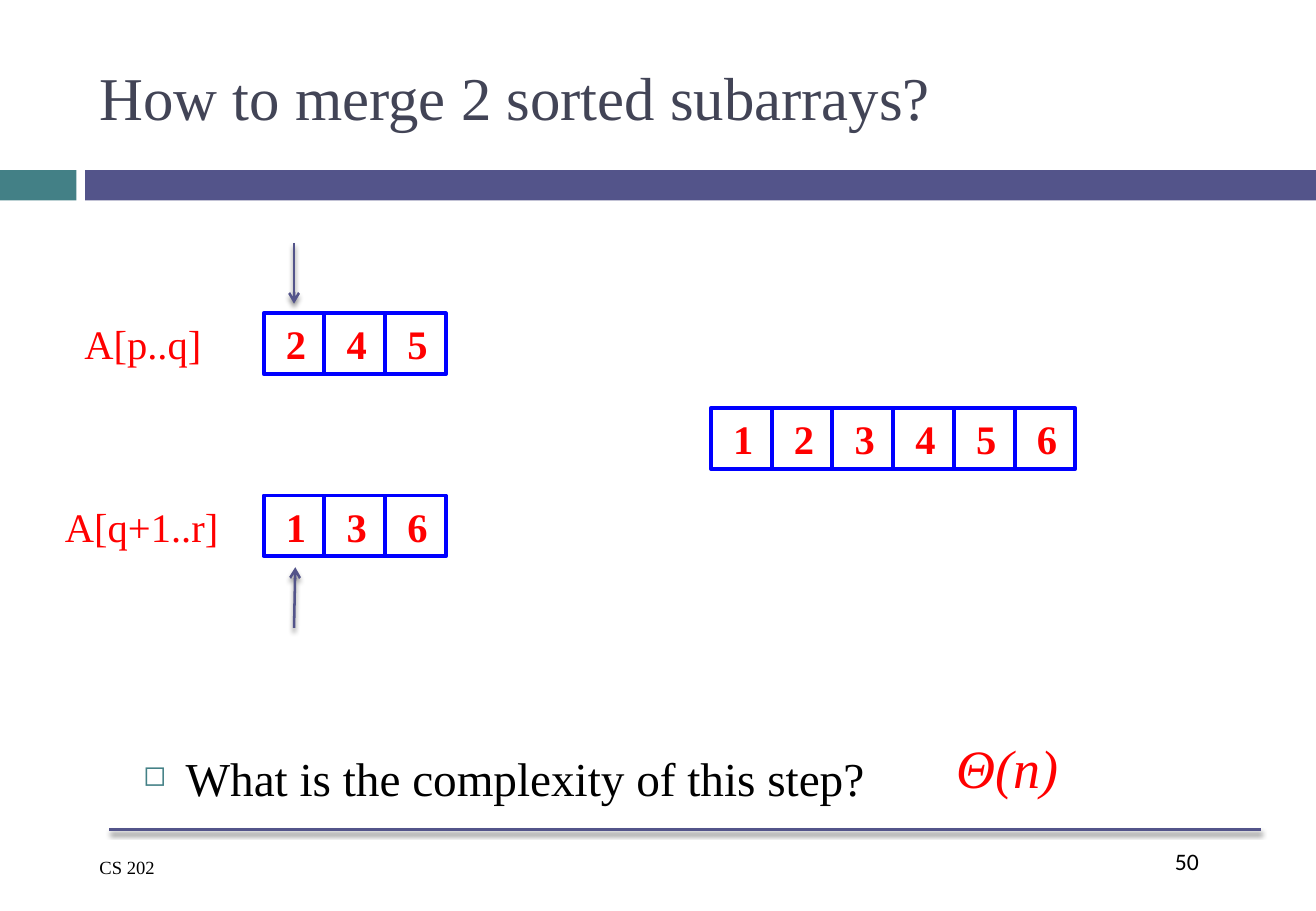
from lxml import etree
from pptx import Presentation
from pptx.dml.color import RGBColor
from pptx.enum.shapes import MSO_CONNECTOR as CONNECTOR, MSO_SHAPE as SHAPE
from pptx.enum.text import MSO_ANCHOR as ANCHOR, PP_ALIGN as ALIGN
from pptx.oxml import parse_xml
from pptx.oxml.ns import nsdecls, qn
from pptx.util import Inches, Pt

SERIF = "Times New Roman"
INDIGO, TEAL, SLATE = "53548A", "438086", "424456"
RED, BLUE, BLACK = "FF0000", "0000FF", "000000"
CELL = 0.5


def color(hex_string):
    """Turn a hex string into a colour."""
    return RGBColor.from_string(hex_string)


def write(shape, text, size, hex_string, align=ALIGN.LEFT, anchor=ANCHOR.TOP,
          font=SERIF, bold=False, italic=False):
    """Put one formatted paragraph into a shape and return it."""
    frame = shape.text_frame
    frame.text = text
    frame.vertical_anchor = anchor
    paragraph = frame.paragraphs[0]
    paragraph.alignment = align
    run_font = paragraph.runs[0].font
    run_font.name, run_font.size = font, Pt(size)
    run_font.bold, run_font.italic = bold, italic
    run_font.color.rgb = color(hex_string)
    return paragraph


def add_label(slide, box, text, size, hex_string, wrap=False, **style):
    """Add a text box and return its paragraph."""
    shape = slide.shapes.add_textbox(*map(Inches, box))
    shape.text_frame.word_wrap = wrap
    return write(shape, text, size, hex_string, **style)


def add_rectangle(slide, box, fill=None, line=None):
    """Add a plain rectangle, filled or outlined."""
    shape = slide.shapes.add_shape(SHAPE.RECTANGLE, *map(Inches, box))
    shape.shadow.inherit = False
    if fill:
        shape.fill.solid()
        shape.fill.fore_color.rgb = color(fill)
    else:
        shape.fill.background()
    if line:
        shape.line.color.rgb = color(line)
        shape.line.width = Pt(2.29)
    else:
        shape.line.fill.background()
    return shape


def add_line(slide, start, end, arrow=False):
    """Draw an indigo line with a soft shadow below it."""
    line = slide.shapes.add_connector(CONNECTOR.STRAIGHT, *map(Inches, start + end))
    line.line.color.rgb = color(INDIGO)
    line.line.width = Pt(1.5)
    properties = line.line._get_or_add_ln()
    if arrow:
        etree.SubElement(properties, qn("a:tailEnd"), type="arrow")
    properties.addnext(parse_xml(
        f'<a:effectLst {nsdecls("a")}>'
        f'<a:outerShdw blurRad="{Pt(3)}" dist="{Pt(2.4)}" dir="5400000" rotWithShape="0">'
        f'<a:srgbClr val="{BLACK}"><a:alpha val="45000"/></a:srgbClr>'
        '</a:outerShdw></a:effectLst>'))


def add_header(slide, width):
    """Place the title and the two bars under it."""
    title = slide.shapes.title
    title.left, title.top, title.width, title.height = map(Inches, (0.72, 0.25, 9.66, 1.08))
    write(title, "How to merge 2 sorted subarrays?", 36, SLATE, anchor=ANCHOR.MIDDLE)
    add_rectangle(slide, (0, 1.4, 0.63, 0.25), fill=TEAL)
    add_rectangle(slide, (0.7, 1.4, width - 0.7, 0.25), fill=INDIGO)


def add_array(slide, left, top, values):
    """Draw a row of touching cells, one per value."""
    for index, value in enumerate(values):
        cell = add_rectangle(slide, (left + index * CELL, top, CELL, CELL), line=BLUE)
        write(cell, str(value), 24, RED, align=ALIGN.CENTER, bold=True)
        cell.text_frame.margin_left = Inches(0.13)


def add_question(slide, left, top):
    """Place the bulleted question and its answer."""
    question = add_label(slide, (left, top, 6.6, 0.55),
                         "What is the complexity of this step?", 28, BLACK, wrap=True)
    properties = question._p.get_or_add_pPr()
    properties.set("marL", str(Inches(0.35)))
    properties.set("indent", str(Inches(-0.35)))
    bullet_color = etree.SubElement(properties, qn("a:buClr"))
    etree.SubElement(bullet_color, qn("a:srgbClr"), val=TEAL)
    etree.SubElement(properties, qn("a:buSzPct"), val="60000")
    etree.SubElement(properties, qn("a:buChar"), char="◻")
    add_label(slide, (left + 6.67, top - 0.12, 1.09, 0.64), "Θ(n)", 32, RED,
              align=ALIGN.CENTER, italic=True)


def add_footer(slide, left, right, top):
    """Place the rule, the course name and the page number."""
    add_line(slide, (left + 0.18, top), (right, top))
    add_label(slide, (left, top + 0.17, 1.99, 0.29), "CS 202", 11, BLACK, wrap=True)
    add_label(slide, (right - 0.81, top + 0.09, 0.81, 0.5), "50", 14, BLACK,
              wrap=True, font="Calibri")


def main():
    """Build the slide and save it."""
    presentation = Presentation()
    presentation.slide_width, presentation.slide_height = Inches(10.83), Inches(7.5)
    slide = presentation.slides.add_slide(presentation.slide_layouts[5])
    add_header(slide, 10.83)
    add_footer(slide, 0.72, 10.38, 6.83)
    add_question(slide, 1.08, 6.12)
    for top, label, label_left, label_width, values in (
            (2.58, "A[p..q]", 0.58, 1.19, (2, 4, 5)),
            (4.08, "A[q+1..r]", 0.42, 1.49, (1, 3, 6))):
        add_array(slide, 2.17, top, values)
        add_label(slide, (label_left, top, label_width, CELL), label, 24, RED,
                  align=ALIGN.CENTER)
    add_array(slide, 5.85, 3.36, range(1, 7))
    add_line(slide, (2.42, 2), (2.42, 2.5), arrow=True)
    add_line(slide, (2.42, 5.17), (2.43, 4.67), arrow=True)
    presentation.save("out.pptx")


if __name__ == "__main__":
    main()
